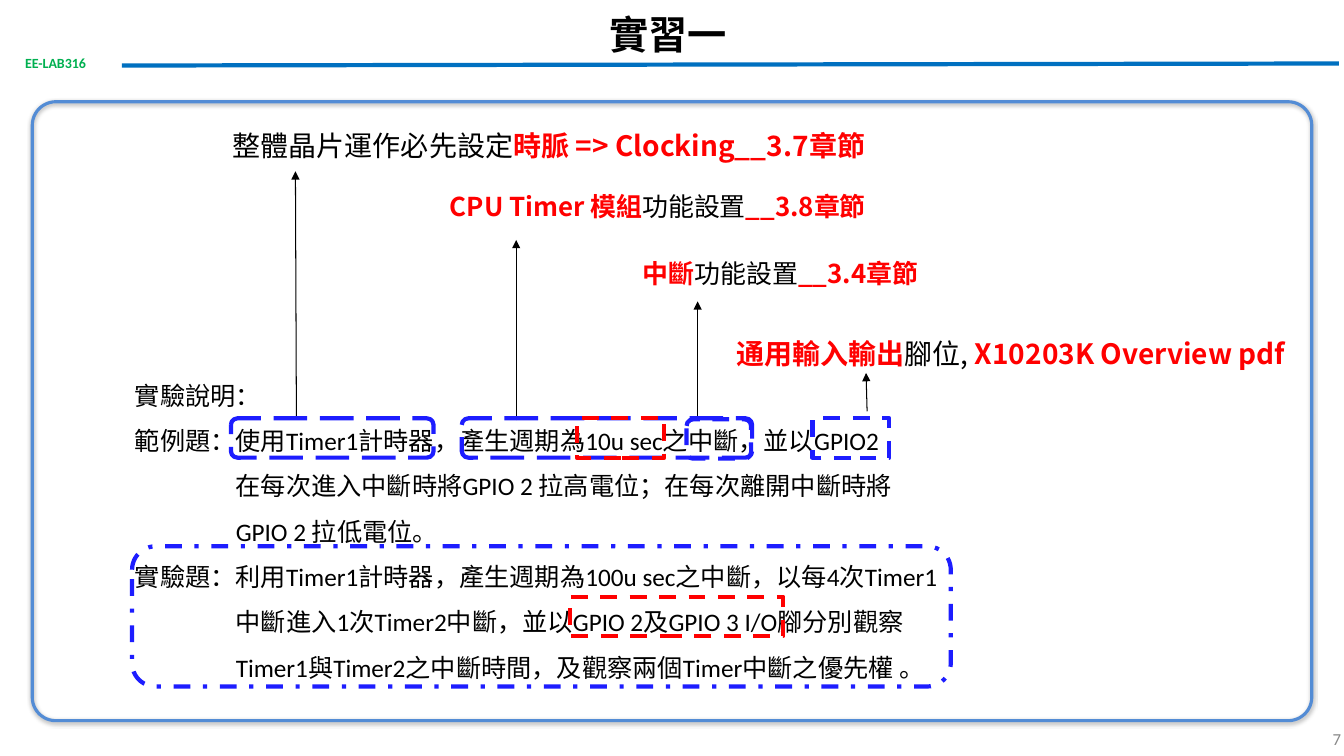
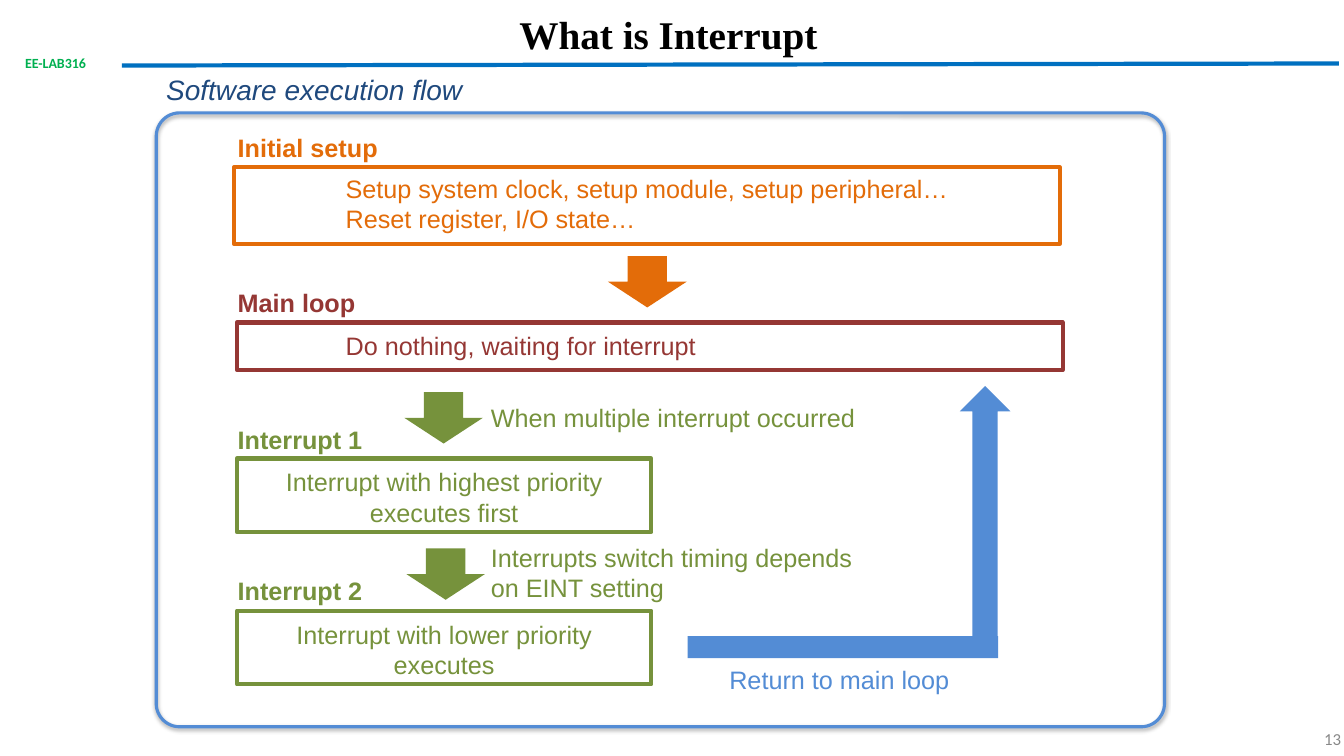
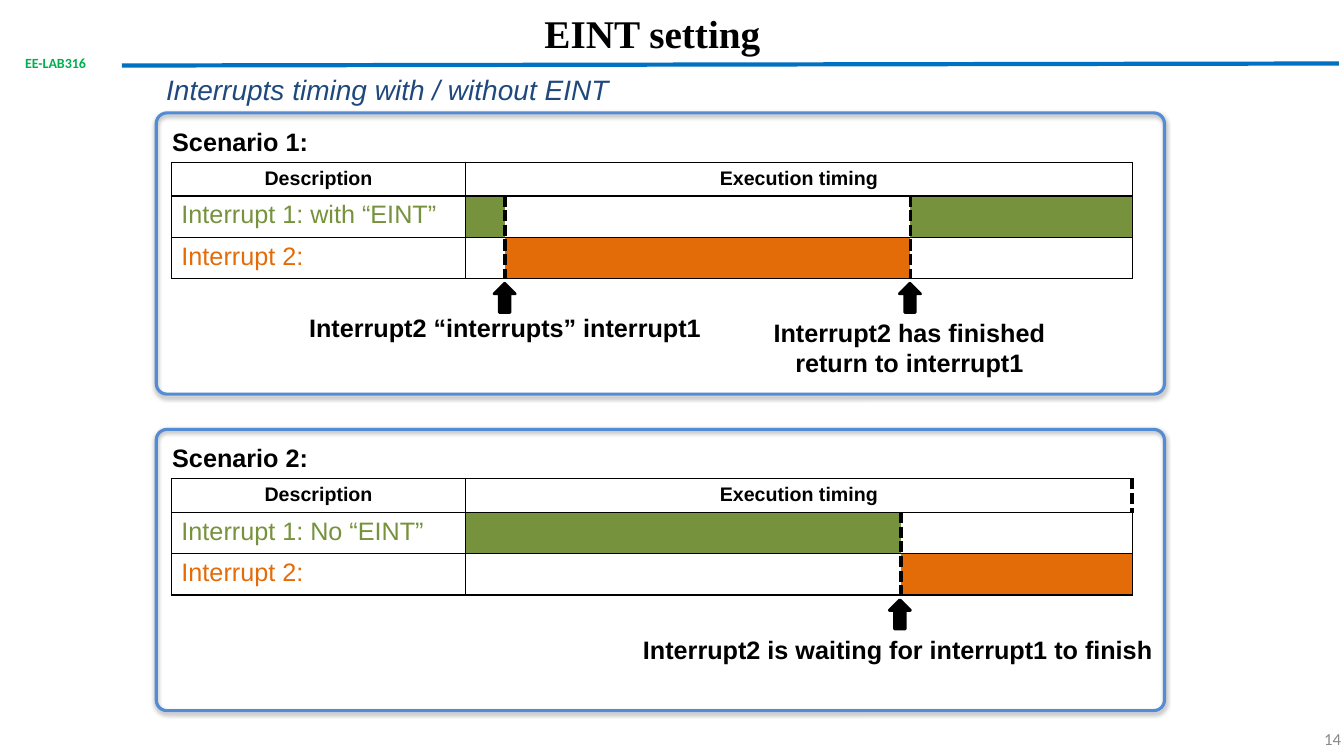
from lxml import etree
from pptx import Presentation
from pptx.dml.color import RGBColor
from pptx.enum.dml import MSO_LINE
from pptx.enum.shapes import MSO_CONNECTOR, MSO_SHAPE
from pptx.enum.text import MSO_ANCHOR, PP_ALIGN
from pptx.oxml.ns import qn
from pptx.util import Inches, Pt

BLACK = RGBColor(0x00, 0x00, 0x00)
RED = RGBColor(0xFF, 0x00, 0x00)
MARK_BLUE = RGBColor(0x1D, 0x1D, 0xFF)
RULE_BLUE = RGBColor(0x00, 0x70, 0xC0)
PANEL_BLUE = RGBColor(0x53, 0x8C, 0xD5)
NAVY = RGBColor(0x1F, 0x49, 0x7D)
LAB_GREEN = RGBColor(0x00, 0xB0, 0x50)
GREEN = RGBColor(0x76, 0x92, 0x3C)
ORANGE = RGBColor(0xE3, 0x6C, 0x09)
MAROON = RGBColor(0x95, 0x37, 0x34)
GRAY = RGBColor(0x88, 0x88, 0x88)

ARIAL, CALIBRI, TIMES, NOTO = "Arial", "Calibri", "Times New Roman", "Noto Sans CJK TC"
LEFT, CENTER, RIGHT, JUSTIFY = PP_ALIGN.LEFT, PP_ALIGN.CENTER, PP_ALIGN.RIGHT, PP_ALIGN.JUSTIFY
TOP, MIDDLE = MSO_ANCHOR.TOP, MSO_ANCHOR.MIDDLE
RECT, ROUND, DOWN = MSO_SHAPE.RECTANGLE, MSO_SHAPE.ROUNDED_RECTANGLE, MSO_SHAPE.DOWN_ARROW
STRAIGHT = MSO_CONNECTOR.STRAIGHT
DASH, LONG_DASH, DASH_DOT = MSO_LINE.DASH, MSO_LINE.LONG_DASH, MSO_LINE.DASH_DOT


def inches(*values):
    return [Inches(value) for value in values]


class Lecture:
    """The style of the lecture and the slide being filled."""

    def __init__(self):
        self.deck = Presentation()
        self.deck.slide_width, self.deck.slide_height = inches(13.33, 7.5)
        self.page = None

    def start(self, title, number, title_at=(2.73, 0.05)):
        self.page = self.deck.slides.add_slide(self.deck.slide_layouts[6])
        self.line((1.21, 0.65), (13.28, 0.63), RULE_BLUE, 3)
        self.text((0.15, 0.49, 0.95, 0.27), "EE-LAB316", LAB_GREEN, 10, CALIBRI, bold=True)
        self.text((*title_at, 7.8, 0.71), title, BLACK, 28, TIMES, bold=True, align=CENTER)
        self.text((10.29, 7.13, 3.11, 0.4), str(number), GRAY, 12, CALIBRI,
                  align=RIGHT, anchor=MIDDLE)

    def subtitle(self, words):
        self.text((1.55, 0.67, 5, 0.43), words, NAVY, 20, italic=True)

    def span(self, para, words, color, size, font, bold=False, italic=False):
        span = para.add_run()
        span.text = words
        span.font.size, span.font.name = Pt(size), font
        span.font.bold, span.font.italic = bold, italic
        span.font.color.rgb = color
        east_asian = etree.SubElement(span.font._element, qn("a:ea"))
        east_asian.set("typeface", NOTO)

    def text(self, at, content, color=BLACK, size=18, font=ARIAL, bold=False, italic=False,
             align=LEFT, anchor=TOP, spacing=None):
        """Content is one text or a list of (indent, text) paragraphs."""
        frame = self.page.shapes.add_textbox(*inches(*at)).text_frame
        frame.word_wrap, frame.vertical_anchor = True, anchor
        lines = [(0, content)] if isinstance(content, str) else content
        for index, (indent, words) in enumerate(lines):
            para = frame.add_paragraph() if index else frame.paragraphs[0]
            para.alignment, para.line_spacing = align, spacing
            if indent:
                para._p.get_or_add_pPr().set("marL", str(Inches(indent)))
            self.span(para, words, color, size, font, bold, italic)

    def callout(self, at, size, parts, spacing=None):
        """One centred line of (text, is key word) parts."""
        frame = self.page.shapes.add_textbox(*inches(*at)).text_frame
        frame.word_wrap = True
        para = frame.paragraphs[0]
        para.alignment, para.line_spacing = CENTER, spacing
        for words, is_key in parts:
            self.span(para, words, RED if is_key else BLACK, size, NOTO, bold=is_key)

    def shape(self, kind, at, fill=None, line=None, width=3, dash=None, corner=None, rotation=0):
        shape = self.page.shapes.add_shape(kind, *inches(*at))
        shape.shadow.inherit = False
        shape.rotation = rotation
        if corner is not None:
            shape.adjustments[0] = corner
        if fill is None:
            shape.fill.background()
        else:
            shape.fill.solid()
            shape.fill.fore_color.rgb = fill
        if line is None:
            shape.line.fill.background()
        else:
            shape.line.color.rgb, shape.line.width = line, Pt(width)
            if dash is not None:
                shape.line.dash_style = dash
        return shape

    def panel(self, at):
        panel = self.shape(ROUND, at, line=PANEL_BLUE, width=2.25, corner=0.038)
        effects = panel._element.spPr.find(qn("a:effectLst"))
        shadow = etree.SubElement(effects, qn("a:outerShdw"), blurRad="40000", dist="20000",
                                  dir="5400000", rotWithShape="0")
        color = etree.SubElement(shadow, qn("a:srgbClr"), val=str(BLACK))
        etree.SubElement(color, qn("a:alpha"), val="38000")

    def line(self, start, end, color=BLACK, width=0.75, arrow=False):
        line = self.page.shapes.add_connector(STRAIGHT, *inches(*start, *end))
        line.line.color.rgb, line.line.width = color, Pt(width)
        if arrow:
            etree.SubElement(line.line._get_or_add_ln(), qn("a:tailEnd"), type="triangle")
        etree.SubElement(line._element.spPr, qn("a:effectLst"))

    def borders(self, cell, dashed_sides):
        properties = cell._tc.get_or_add_tcPr()
        for index, side in enumerate("LRTB"):
            dashed = side in dashed_sides
            border = etree.Element(qn(f"a:ln{side}"), w=str(Pt(3 if dashed else 1)))
            fill = etree.SubElement(border, qn("a:solidFill"))
            etree.SubElement(fill, qn("a:srgbClr"), val=str(BLACK))
            etree.SubElement(border, qn("a:prstDash"), val="dash" if dashed else "solid")
            properties.insert(index, border)

    def timing_table(self, top, widths, rows, dashed_end=False):
        """Rows hold (label, colour, filled columns); dashes part the time slots."""
        heights = [0.33, 0.41, 0.41]
        table = self.page.shapes.add_table(
            len(heights), len(widths), *inches(1.7, top, sum(widths), sum(heights))).table
        table.first_row = table.horz_banding = False
        for column, width in zip(table.columns, widths):
            column.width = Inches(width)
        for row, height in zip(table.rows, heights):
            row.height = Inches(height)
        last = len(widths) - 1
        table.cell(0, 1).merge(table.cell(0, last))
        for column, words in enumerate(["Description", "Execution timing"]):
            para = table.cell(0, column).text_frame.paragraphs[0]
            para.alignment = CENTER
            self.span(para, words, BLACK, 14, ARIAL, bold=True)
        for index, (label, color, _) in enumerate(rows, 1):
            self.span(table.cell(index, 0).text_frame.paragraphs[0], label, color, 18, ARIAL)
        for index in range(len(heights)):
            for column in range(len(widths)):
                cell = table.cell(index, column)
                if cell.is_spanned:
                    continue
                if index and column in rows[index - 1][2]:
                    cell.fill.solid()
                    cell.fill.fore_color.rgb = rows[index - 1][1]
                else:
                    cell.fill.background()
                if index:
                    dashed = ("L" if column > 1 else "") + ("R" if 0 < column < last else "")
                else:
                    dashed = "R" if dashed_end and column else ""
                self.borders(cell, dashed)

    def scenario(self, number, top, widths, rows, pointers, dashed_end=False):
        self.panel((1.55, top, 10, 2.79))
        self.timing_table(top + 0.49, widths, rows, dashed_end)
        self.text((1.61, top + 0.08, 2, 0.4), f"Scenario {number}:", bold=True)
        for left in pointers:
            self.shape(DOWN, (left, top + 1.69, 0.21, 0.29), BLACK, BLACK, 2, rotation=180)


def build_practice(lecture):
    lecture.start("實習一", 7)
    lecture.text((1.24, 3.57, 9, 3.28), [
        (0, "實驗說明："),
        (0, "範例題：使用Timer1計時器，產生週期為10u sec之中斷，並以GPIO2"),
        (1, "在每次進入中斷時將GPIO 2 拉高電位；在每次離開中斷時將"),
        (1, "GPIO 2 拉低電位。"),
        (0, "實驗題：利用Timer1計時器，產生週期為100u sec之中斷，以每4次Timer1"),
        (1, "中斷進入1次Timer2中斷，並以GPIO 2及GPIO 3 I/O腳分別觀察"),
        (1, "Timer1與Timer2之中斷時間，及觀察兩個Timer中斷之優先權 。"),
    ], font=CALIBRI, align=JUSTIFY, spacing=1.5)

    # Topics and the chapters they come from
    lecture.callout((1.47, 1.23, 7.95, 0.51), 20, [
        ("整體晶片運作必先設定", False), ("時脈 => Clocking__3.7章節", True)])
    lecture.callout((2.94, 1.88, 7.17, 0.4), 18.5, [
        ("CPU Timer 模組", True), ("功能設置", False), ("__3.8章節", True)], 0.9)
    lecture.callout((5.6, 2.57, 4.28, 0.38), 18.5, [
        ("中斷", True), ("功能設置", False), ("__3.4章節", True)], 0.8)
    lecture.callout((6.92, 3.29, 6.21, 0.51), 20, [
        ("通用輸入輸出", True), ("腳位,", False), (" X10203K Overview pdf", True)])
    for start, end in [((2.94, 4.16), (2.93, 1.7)), ((5.12, 4.17), (5.12, 2.38)),
                       ((6.92, 4.13), (6.92, 2.99)), ((8.6, 4.08), (8.59, 3.7))]:
        lecture.line(start, end, arrow=True)

    # Marks around the key phrases
    for kind, at, color, dash in [
        (ROUND, (2.29, 4.15, 2.01, 0.39), MARK_BLUE, LONG_DASH),
        (ROUND, (4.58, 4.15, 2.88, 0.39), MARK_BLUE, LONG_DASH),
        (RECT, (5.72, 4.15, 0.87, 0.39), RED, DASH),
        (RECT, (8.06, 4.15, 0.76, 0.39), MARK_BLUE, DASH),
        (ROUND, (1.31, 5.42, 8.12, 1.39), MARK_BLUE, DASH_DOT),
        (ROUND, (6.81, 4.16, 0.64, 0.39), MARK_BLUE, DASH),
        (RECT, (5.65, 5.92, 2.12, 0.39), RED, DASH),
    ]:
        lecture.shape(kind, at, line=color, dash=dash)
    lecture.panel((0.32, 1.01, 12.69, 6.14))


def build_flow(lecture):
    lecture.start("What is Interrupt", 13)
    lecture.panel((1.55, 1.12, 10, 6.09))
    lecture.subtitle("Software execution flow")

    # Stages: heading, heading top, frame
    for heading, top, at, color in [
        ("Initial setup", 1.26, (2.32, 1.66, 8.19, 0.76), ORANGE),
        ("Main loop", 2.8, (2.35, 3.2, 8.19, 0.47), MAROON),
        ("Interrupt 1", 4.16, (2.35, 4.55, 4.11, 0.73), GREEN),
        ("Interrupt 2", 5.66, (2.35, 6.06, 4.11, 0.73), GREEN),
    ]:
        lecture.shape(RECT, at, line=color)
        lecture.text((2.26, top, 1.8, 0.4), heading, color, bold=True)

    # What each stage does
    lecture.text((3.33, 1.67, 6.41, 0.7), [
        (0, "Setup system clock, setup module, setup peripheral…"),
        (0, "Reset register, I/O state…")], ORANGE)
    lecture.text((3.33, 3.23, 6.41, 0.4), "Do nothing, waiting for interrupt", MAROON)
    for top, words in [(4.58, "Interrupt with highest priority executes first"),
                       (6.09, "Interrupt with lower priority executes")]:
        lecture.text((2.35, top, 4.11, 0.7), words, GREEN, align=CENTER)

    # Steps between the stages
    for left, top, color in [(6.03, 2.54, ORANGE), (4.01, 3.89, GREEN), (4.03, 5.44, GREEN)]:
        lecture.shape(DOWN, (left, top, 0.78, 0.51), color)
    for top, words in [(3.94, "When multiple interrupt occurred"),
                       (5.33, "Interrupts switch timing depends on EINT setting")]:
        lecture.text((4.77, top, 4.03, 0.4), words, GREEN)

    # Way back to the main loop
    lecture.shape(DOWN, (9.52, 3.83, 0.5, 2.59), PANEL_BLUE, rotation=180)
    lecture.shape(RECT, (6.82, 6.31, 3.08, 0.22), PANEL_BLUE)
    lecture.text((6.71, 6.54, 3.23, 0.4), "Return to main loop", PANEL_BLUE, align=CENTER)


def build_timing(lecture):
    lecture.start("EINT setting", 14, (2.57, 0.04))
    lecture.subtitle("Interrupts timing with / without EINT")

    lecture.scenario(1, 1.12, [2.92, 0.39, 4.02, 2.2], [
        ("Interrupt 1: with “EINT”", GREEN, (1, 3)),
        ("Interrupt 2:", ORANGE, (2,))], [4.9, 8.92])
    lecture.text((2.91, 3.05, 4.2, 0.4), "Interrupt2 “interrupts” interrupt1",
                 bold=True, align=CENTER)
    lecture.text((7.49, 3.1, 3.06, 0.7), [
        (0, "Interrupt2 has finished"), (0, "return to interrupt1")], bold=True, align=CENTER)

    lecture.scenario(2, 4.26, [2.92, 4.32, 2.29], [
        ("Interrupt 1: No “EINT”", GREEN, (1,)),
        ("Interrupt 2:", ORANGE, (2,))], [8.82], dashed_end=True)
    lecture.text((6.22, 6.24, 5.37, 0.4), "Interrupt2 is waiting for interrupt1 to finish",
                 bold=True, align=CENTER)


def main():
    lecture = Lecture()
    build_practice(lecture)
    build_flow(lecture)
    build_timing(lecture)
    lecture.deck.save("out.pptx")


if __name__ == "__main__":
    main()
